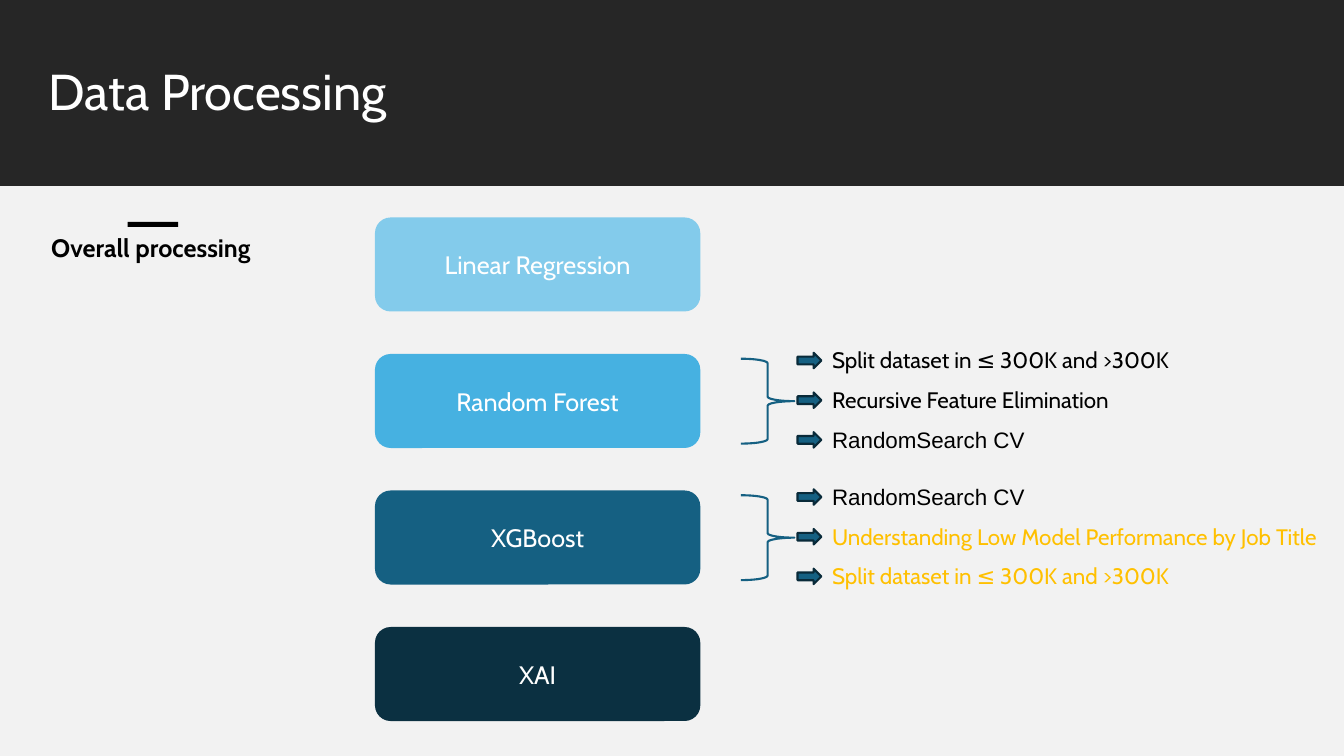
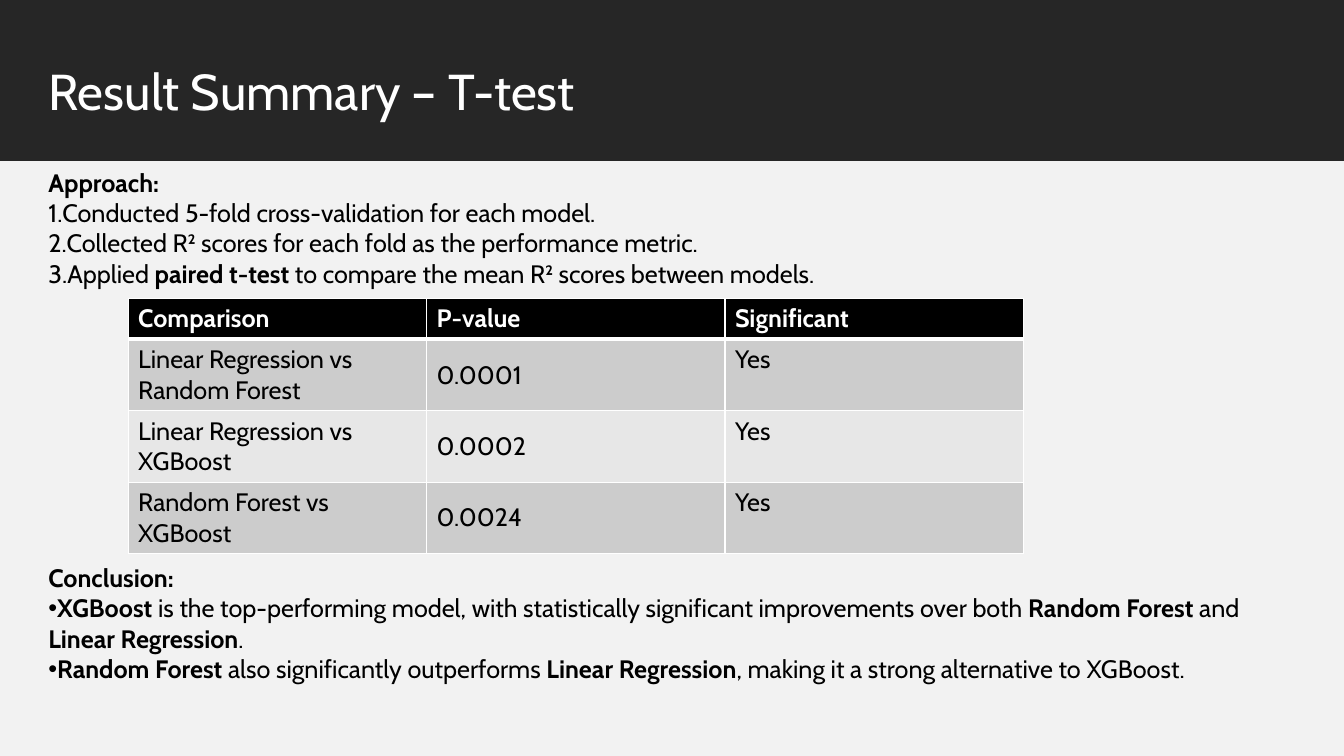
from lxml.etree import SubElement
from pptx import Presentation
from pptx.dml.color import RGBColor
from pptx.enum.shapes import MSO_SHAPE
from pptx.enum.text import MSO_ANCHOR, MSO_AUTO_SIZE, PP_ALIGN
from pptx.oxml.ns import qn
from pptx.util import Cm, Pt

FONT = "Cabin"
SLIDE_WIDTH, SLIDE_HEIGHT = 33.87, 19.05
WHITE, BLACK = "FFFFFF", "000000"
BAND, PANEL = "262626", "F2F2F2"
TEAL, ARROW_EDGE, GOLD = "156082", "092A39", "FFC000"
ROW_FILLS = ("CCCCCC", "E7E7E7")


def color(value):
    """Turn a hex string into a colour."""
    return RGBColor.from_string(value)


def style_runs(paragraph, size, value, font=FONT, bold=None):
    """Format all runs of a paragraph, leaving bold alone when it is None."""
    for run in paragraph.runs:
        run.font.size = Pt(size)
        run.font.name = font
        run.font.color.rgb = color(value)
        if bold is not None:
            run.font.bold = bold


def add_box(slide, kind, left, top, width, height, fill=None, line=None):
    """Add a flat preset shape with an optional fill and outline."""
    shape = slide.shapes.add_shape(kind, Cm(left), Cm(top), Cm(width), Cm(height))
    shape.shadow.inherit = False
    if fill:
        shape.fill.solid()
        shape.fill.fore_color.rgb = color(fill)
    else:
        shape.fill.background()
    if line:
        shape.line.color.rgb = color(line)
        shape.line.width = Pt(1.5)
    else:
        shape.line.fill.background()
    return shape


def add_text_frame(slide, left, top, width, height):
    """Add a wrapping text box and return its text frame."""
    frame = slide.shapes.add_textbox(Cm(left), Cm(top), Cm(width), Cm(height)).text_frame
    frame.word_wrap = True
    return frame


def add_label(slide, left, top, width, text, size, value=BLACK, font=FONT, bold=False):
    """Add a one-line label."""
    frame = add_text_frame(slide, left, top, width, 0.95)
    frame.text = text
    style_runs(frame.paragraphs[0], size, value, font, bold)


def add_titled_slide(presentation, title_text, band_height):
    """Add a slide with a dark title band above a light panel."""
    slide = presentation.slides.add_slide(presentation.slide_layouts[5])
    title = slide.shapes.title
    for top, height, fill in (
        (0, band_height, BAND),
        (band_height, SLIDE_HEIGHT - band_height, PANEL),
    ):
        area = add_box(slide, MSO_SHAPE.RECTANGLE, 0, top, SLIDE_WIDTH, height, fill)
        title.element.addprevious(area.element)
    title.left, title.top, title.width, title.height = Cm(0.97), Cm(1.68), Cm(28.75), Cm(1.4)
    frame = title.text_frame
    frame.text = title_text
    frame.word_wrap = True
    frame.auto_size = MSO_AUTO_SIZE.NONE
    frame.vertical_anchor = MSO_ANCHOR.MIDDLE
    paragraph = frame.paragraphs[0]
    paragraph.alignment = PP_ALIGN.LEFT
    paragraph.line_spacing = 0.9
    style_runs(paragraph, 36, WHITE)
    return slide


def add_section_label(slide, left, top, text):
    """Add a section heading under a short bar."""
    add_box(slide, MSO_SHAPE.RECTANGLE, left + 2.18, top, 1.27, 0.13, BLACK)
    add_label(slide, left, top + 0.13, 5.94, text, 18, bold=True)


def add_model_box(slide, left, top, text, fill):
    """Add a rounded box naming one model."""
    shape = add_box(slide, MSO_SHAPE.ROUNDED_RECTANGLE, left, top, 8.2, 2.37, fill)
    frame = shape.text_frame
    frame.text = text
    frame.vertical_anchor = MSO_ANCHOR.MIDDLE
    frame.paragraphs[0].alignment = PP_ALIGN.CENTER
    style_runs(frame.paragraphs[0], 18, WHITE)


def add_steps(slide, left, top, steps):
    """Add a brace followed by arrowed steps."""
    add_box(slide, MSO_SHAPE.RIGHT_BRACE, left, top, 1.35, 2.14, line=TEAL)
    for index, (text, value, font) in enumerate(steps):
        step_top = top - 0.15 + index
        add_box(slide, MSO_SHAPE.RIGHT_ARROW, left + 1.43, step_top, 0.6, 0.39, TEAL, ARROW_EDGE)
        add_label(slide, left + 2.05, step_top - 0.28, 13.1, text, 16, value, font)


def add_bullet(paragraph, kind, attribute, value):
    """Give a paragraph a bullet or number without an indent."""
    properties = paragraph._p.get_or_add_pPr()
    properties.set("marL", "0")
    properties.set("indent", "0")
    SubElement(properties, qn("a:buFont")).set("typeface", "Arial" if kind == "buChar" else "+mj-lt")
    SubElement(properties, qn(f"a:{kind}")).set(attribute, value)


def add_list(slide, left, top, width, heading, items, bullet):
    """Add a bold heading and a list whose bold parts stand between double stars."""
    frame = add_text_frame(slide, left, top, width, 4.11)
    frame.text = heading
    style_runs(frame.paragraphs[0], 18, BLACK, bold=True)
    for item in items:
        paragraph = frame.add_paragraph()
        add_bullet(paragraph, *bullet)
        for index, part in enumerate(item.split("**")):
            if part:
                run = paragraph.add_run()
                run.text = part
                run.font.bold = index % 2 == 1
        style_runs(paragraph, 18, BLACK)


def set_borders(cell, widths):
    """Draw white cell borders with the given point width per side."""
    properties = cell._tc.get_or_add_tcPr()
    for side in "LRTB":
        line = SubElement(properties, qn(f"a:ln{side}"))
        line.set("w", str(Pt(widths.get(side, 1))))
        SubElement(SubElement(line, qn("a:solidFill")), qn("a:srgbClr")).set("val", WHITE)


def add_result_table(slide, left, top, width, rows):
    """Add a table with a black header and alternating grey rows."""
    heights = [1.03] + [1.8] * (len(rows) - 1)
    table = slide.shapes.add_table(
        len(rows), len(rows[0]), Cm(left), Cm(top), Cm(width), Cm(sum(heights))
    ).table
    for row_index, values in enumerate(rows):
        header = row_index == 0
        table.rows[row_index].height = Cm(heights[row_index])
        for column_index, text in enumerate(values):
            cell = table.cell(row_index, column_index)
            set_borders(cell, {0: {"B": 3}, 1: {"T": 3}}.get(row_index, {}))
            cell.fill.solid()
            cell.fill.fore_color.rgb = color(BLACK if header else ROW_FILLS[(row_index - 1) % 2])
            cell.text = text
            centred = not header and column_index < 2
            cell.vertical_anchor = MSO_ANCHOR.MIDDLE if centred else MSO_ANCHOR.TOP
            style_runs(cell.text_frame.paragraphs[0], 18, WHITE if header else BLACK, bold=header)


def build_processing_slide(presentation):
    """Build the slide listing the models and their steps."""
    slide = add_titled_slide(presentation, "Data Processing", 4.69)
    add_section_label(slide, 1.04, 5.59, "Overall processing")
    split = "Split dataset in ≤ 300K and >300K"
    search = "RandomSearch CV"
    models = (
        ("Linear Regression", "83CBEB", ()),
        ("Random Forest", "46B1E1", (
            (split, BLACK, FONT),
            ("Recursive Feature Elimination", BLACK, FONT),
            (search, BLACK, "Arial"),
        )),
        ("XGBoost", TEAL, (
            (search, BLACK, "Arial"),
            ("Understanding Low Model Performance by Job Title", GOLD, FONT),
            (split, GOLD, FONT),
        )),
        ("XAI", "0B3041", ()),
    )
    for index, (name, fill, steps) in enumerate(models):
        top = 5.48 + index * 3.44
        add_model_box(slide, 9.45, top, name, fill)
        if steps:
            add_steps(slide, 18.67, top + 0.12, steps)


def build_result_slide(presentation):
    """Build the slide with the test approach, results and conclusion."""
    slide = add_titled_slide(presentation, "Result Summary – T-test", 4.06)
    add_list(slide, 0.97, 4.09, 25, "Approach:", (
        "Conducted 5-fold cross-validation for each model.",
        "Collected R² scores for each fold as the performance metric.",
        "Applied **paired t-test** to compare the mean R² scores between models.",
    ), ("buAutoNum", "type", "arabicPeriod"))
    add_result_table(slide, 3.23, 7.52, 22.56, (
        ("Comparison", "P-value", "Significant"),
        ("Linear Regression vs Random Forest", "0.0001", "Yes"),
        ("Linear Regression vs XGBoost", "0.0002", "Yes"),
        ("Random Forest vs XGBoost", "0.0024", "Yes"),
    ))
    add_list(slide, 0.97, 14.05, 31.42, "Conclusion:", (
        "**XGBoost** is the top-performing model, with statistically significant improvements "
        "over both **Random Forest** and **Linear Regression**.",
        "**Random Forest** also significantly outperforms **Linear Regression**, "
        "making it a strong alternative to XGBoost.",
    ), ("buChar", "char", "•"))


def main():
    """Build and save the presentation."""
    presentation = Presentation()
    presentation.slide_width, presentation.slide_height = Cm(SLIDE_WIDTH), Cm(SLIDE_HEIGHT)
    build_processing_slide(presentation)
    build_result_slide(presentation)
    presentation.save("out.pptx")


if __name__ == "__main__":
    main()
